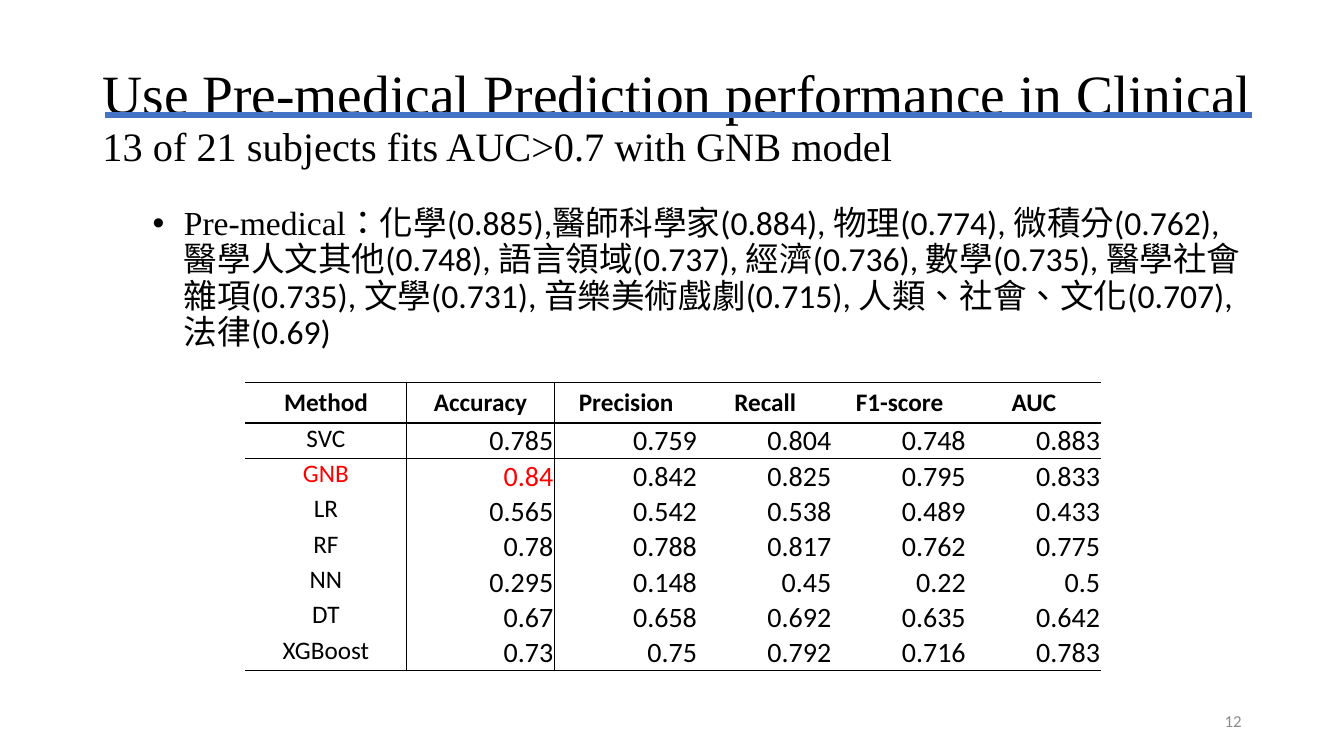
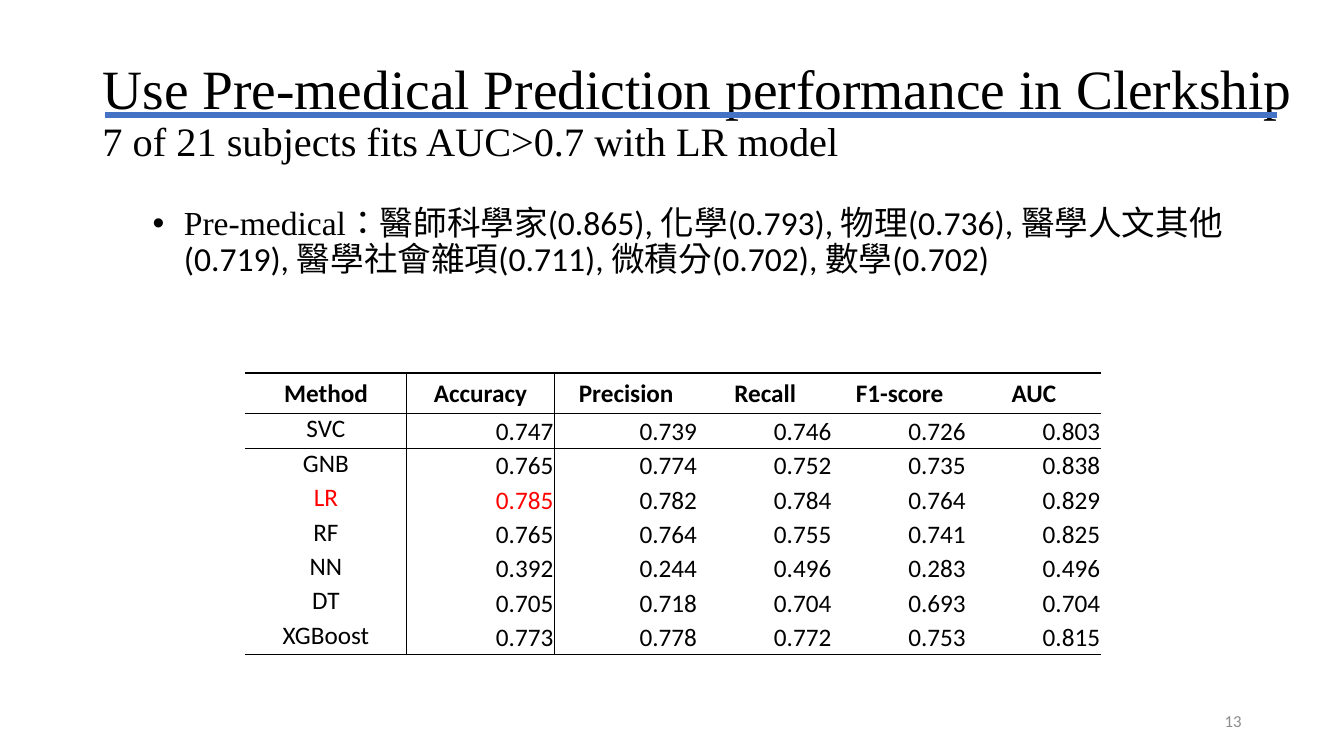
from dataclasses import dataclass

from lxml.etree import SubElement
from pptx import Presentation
from pptx.dml.color import RGBColor
from pptx.enum.lang import MSO_LANGUAGE_ID as Language
from pptx.enum.shapes import MSO_CONNECTOR as Connector
from pptx.enum.text import MSO_ANCHOR as Anchor, MSO_AUTO_SIZE as AutoSize, PP_ALIGN as Align
from pptx.oxml.ns import qn
from pptx.util import Inches, Pt

# Shared look
BLACK = RGBColor(0x00, 0x00, 0x00)
RED = RGBColor(0xFF, 0x00, 0x00)
BLUE = RGBColor(0x44, 0x72, 0xC4)
GRAY = RGBColor(0x8C, 0x8C, 0x8C)
SERIF, SANS, CHINESE = "Times New Roman", "Calibri", "Noto Sans CJK SC"
TITLE_FORMAT = {"name": SERIF, "size": Pt(39.6)}
SUBTITLE_FORMAT = {"name": SERIF, "size": Pt(28.8)}
PLAIN_TABLE_STYLE = "{2D5ABB26-0587-4C30-8999-92F81FD0307C}"

# Grid of 160 columns by 90 rows
GRID_COLUMNS, GRID_ROWS = 160, 90
CELL = Inches(1 / 12)


def grid(count):
    return round(count * CELL)


@dataclass
class Box:
    left: float
    top: float
    width: float
    height: float

    def place(self):
        return [grid(n) for n in (self.left, self.top, self.width, self.height)]


BODY_BOX = Box(11, 24, 138, 57.1)
NUMBER_BOX = Box(113, 83.4, 36, 4.8)
RULE_LEFT, RULE_ROW = 12.5, 13.7
TABLE_LEFT = 29.2
TABLE_COLUMNS = [19.2, 17.6, 17.1, 16, 16, 16]
HEADER_ROW, DATA_ROW = 4.4, 4.1

HEADINGS = ["Method", "Accuracy", "Precision", "Recall", "F1-score", "AUC"]
METHODS = ["SVC", "GNB", "LR", "RF", "NN", "DT", "XGBoost"]

SLIDES = [
    {
        "number": 12,
        "title": "Use Pre-medical Prediction performance in Clinical",
        "subtitle": "13 of 21 subjects fits AUC>0.7 with GNB model",
        "title_top": 5.4, "rule_right": 149,
        "subjects": "化學(0.885),醫師科學家(0.884), 物理(0.774), 微積分(0.762), "
                    "醫學人文其他(0.748), 語言領域(0.737), 經濟(0.736), 數學(0.735), "
                    "醫學社會雜項(0.735), 文學(0.731), 音樂美術戲劇(0.715), "
                    "人類、社會、文化(0.707), 法律(0.69)",
        "table_top": 45.5, "value_size": Pt(20), "best": "GNB",
        "scores": [
            [0.785, 0.759, 0.804, 0.748, 0.883],
            [0.84, 0.842, 0.825, 0.795, 0.833],
            [0.565, 0.542, 0.538, 0.489, 0.433],
            [0.78, 0.788, 0.817, 0.762, 0.775],
            [0.295, 0.148, 0.45, 0.22, 0.5],
            [0.67, 0.658, 0.692, 0.635, 0.642],
            [0.73, 0.75, 0.792, 0.716, 0.783],
        ],
    },
    {
        "number": 13,
        "title": "Use Pre-medical Prediction performance in Clerkship",
        "subtitle": "7 of 21 subjects fits AUC>0.7 with LR model",
        "title_top": 4.8, "rule_right": 152,
        "subjects": "醫師科學家(0.865), 化學(0.793), 物理(0.736), 醫學人文其他(0.719), "
                    "醫學社會雜項(0.711), 微積分(0.702), 數學(0.702)",
        "table_top": 44.4, "value_size": Pt(18), "best": "LR",
        "scores": [
            [0.747, 0.739, 0.746, 0.726, 0.803],
            [0.765, 0.774, 0.752, 0.735, 0.838],
            [0.785, 0.782, 0.784, 0.764, 0.829],
            [0.765, 0.764, 0.755, 0.741, 0.825],
            [0.392, 0.244, 0.496, 0.283, 0.496],
            [0.705, 0.718, 0.704, 0.693, 0.704],
            [0.773, 0.778, 0.772, 0.753, 0.815],
        ],
    },
]


def set_all(target, **values):
    for name, value in values.items():
        setattr(target, name, value)


def add_run(paragraph, text, color=BLACK, **font_values):
    run = paragraph.add_run()
    run.text = text
    set_all(run.font, **font_values)
    run.font.color.rgb = color
    return run


def add_text_box(slide, box, anchor=Anchor.TOP):
    frame = slide.shapes.add_textbox(*box.place()).text_frame
    set_all(frame, word_wrap=True, auto_size=AutoSize.NONE, vertical_anchor=anchor)
    return frame.paragraphs[0]


def add_title(slide, box, title, subtitle):
    shape = slide.shapes.title
    set_all(shape, **dict(zip(("left", "top", "width", "height"), box.place())))
    frame = shape.text_frame
    set_all(frame, word_wrap=True, auto_size=AutoSize.NONE, vertical_anchor=Anchor.MIDDLE)
    paragraph = frame.paragraphs[0]
    set_all(paragraph, alignment=Align.LEFT, line_spacing=0.9)
    add_run(paragraph, title, **TITLE_FORMAT)
    paragraph.add_line_break()
    # The break takes the title's size so that it does not stretch the line
    line_break = paragraph._p.find(qn("a:br"))
    SubElement(line_break, qn("a:rPr"), sz=str(TITLE_FORMAT["size"].centipoints))
    add_run(paragraph, subtitle, **SUBTITLE_FORMAT)


def add_rule(slide, left, right, row):
    line = slide.shapes.add_connector(
        Connector.STRAIGHT, grid(left), grid(row), grid(right), grid(row))
    line.line.color.rgb = BLUE
    line.line.width = Pt(4.5)
    SubElement(line._element.spPr, qn("a:effectLst"))


def add_subjects(slide, box, subjects):
    paragraph = add_text_box(slide, box)
    set_all(paragraph, line_spacing=0.9, space_before=Pt(5), level=1)
    properties = paragraph._p.get_or_add_pPr()
    properties.set("marL", str(Inches(0.81)))
    properties.set("indent", str(-Inches(0.31)))
    SubElement(properties, qn("a:buFont"), typeface="Arial")
    SubElement(properties, qn("a:buChar"), char="•")
    add_run(paragraph, "Pre-medical", name=SERIF, size=Pt(24))
    run = add_run(paragraph, "：" + subjects, name=SANS, size=Pt(24),
                  language_id=Language.TRADITIONAL_CHINESE)
    SubElement(run._r.get_or_add_rPr(), qn("a:ea"), typeface=CHINESE)


def set_borders(cell, sides):
    # Border lines come before the fill, in the order L, R, T, B
    properties = cell._tc.get_or_add_tcPr()
    for index, side in enumerate(side for side in "LRTB" if side in sides):
        line = SubElement(properties, qn("a:ln" + side), w=str(Pt(1)))
        fill = SubElement(line, qn("a:solidFill"))
        SubElement(fill, qn("a:srgbClr"), val=str(BLACK))
        properties.insert(index, line)


def fill_cell(cell, text, alignment, anchor, margins, sides, color, **font_values):
    cell.fill.background()
    cell.vertical_anchor = anchor
    for side, margin in zip(("left", "top", "right", "bottom"), margins):
        setattr(cell, "margin_" + side, Inches(margin))
    paragraph = cell.text_frame.paragraphs[0]
    paragraph.alignment = alignment
    add_run(paragraph, text, color, name=SANS, **font_values)
    set_borders(cell, sides)


def add_score_table(slide, box, scores, best, value_size):
    rows = [HEADINGS] + [[method, *map(str, values)] for method, values in zip(METHODS, scores)]
    table = slide.shapes.add_table(len(rows), len(HEADINGS), *box.place()).table
    set_all(table, first_row=False, horz_banding=False)
    table._tbl.tblPr.find(qn("a:tableStyleId")).text = PLAIN_TABLE_STYLE
    for column, width in zip(table.columns, TABLE_COLUMNS):
        column.width = grid(width)
    for i, texts in enumerate(rows):
        table.rows[i].height = grid(DATA_ROW if i else HEADER_ROW)
        for j, text in enumerate(texts):
            sides = {0: "TB", 1: "T", len(rows) - 1: "B"}.get(i, "")
            sides += {0: "R", 1: "L"}.get(j, "")
            color = RED if texts[0] == best and j < 2 else BLACK
            if i == 0:
                style = (Align.CENTER, Anchor.TOP, (0.1, 0.05, 0.1, 0.05))
            elif j == 0:
                style = (Align.CENTER, Anchor.TOP, (0.04, 0, 0.04, 0))
            else:
                style = (Align.RIGHT, Anchor.MIDDLE, (0.01, 0.01, 0.01, 0))
            fill_cell(table.cell(i, j), text, *style, sides, color, bold=i == 0,
                      size=value_size if i and j else Pt(18))


def add_slide_number(slide, box, number):
    paragraph = add_text_box(slide, box, Anchor.MIDDLE)
    paragraph.alignment = Align.RIGHT
    add_run(paragraph, str(number), GRAY, name=SANS, size=Pt(12))


def add_result_slide(presentation, content):
    slide = presentation.slides.add_slide(presentation.slide_layouts.get_by_name("Title Only"))
    add_title(slide, Box(11, content["title_top"], 146.3, 17.4),
              content["title"], content["subtitle"])
    add_subjects(slide, BODY_BOX, content["subjects"])
    table_height = HEADER_ROW + DATA_ROW * len(METHODS)
    table_box = Box(TABLE_LEFT, content["table_top"], sum(TABLE_COLUMNS), table_height)
    add_score_table(slide, table_box, content["scores"], content["best"], content["value_size"])
    add_slide_number(slide, NUMBER_BOX, content["number"])
    add_rule(slide, RULE_LEFT, content["rule_right"], RULE_ROW)


def main():
    presentation = Presentation()
    presentation.slide_width = grid(GRID_COLUMNS)
    presentation.slide_height = grid(GRID_ROWS)
    for content in SLIDES:
        add_result_slide(presentation, content)
    presentation.save("out.pptx")


if __name__ == "__main__":
    main()
